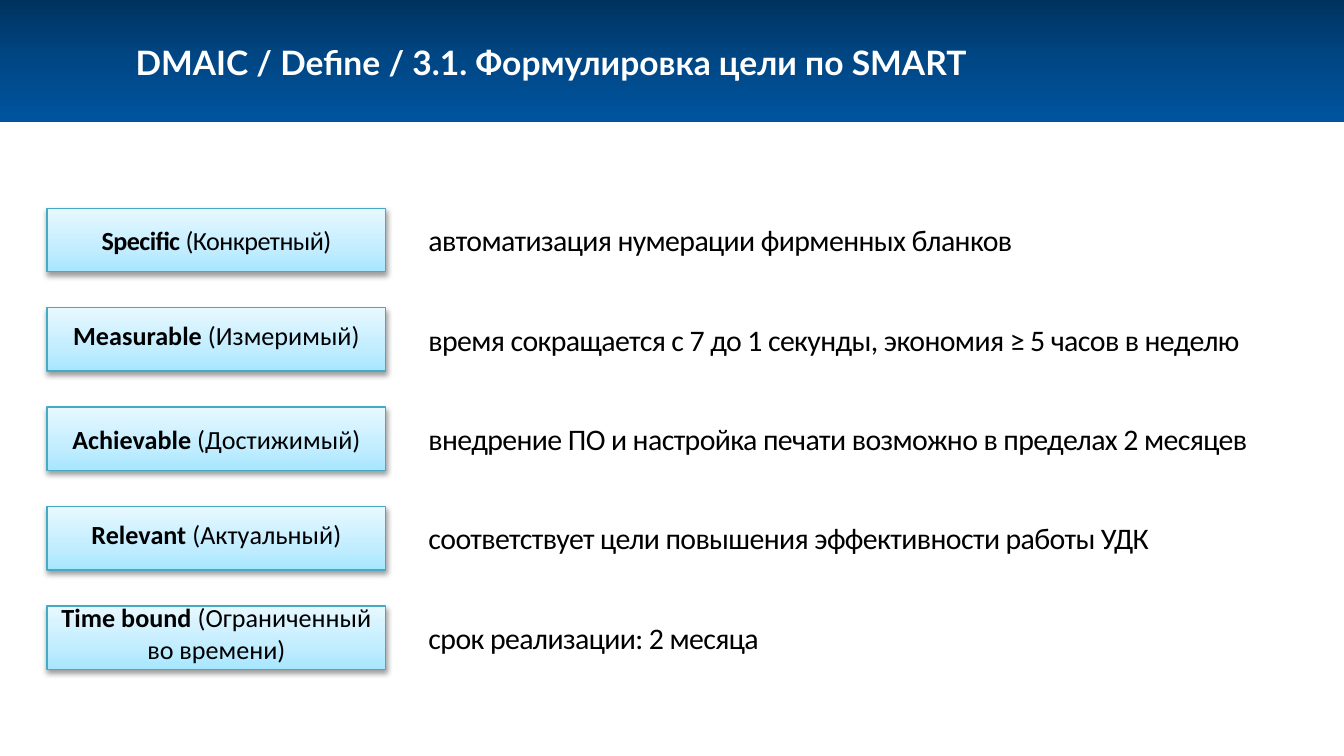
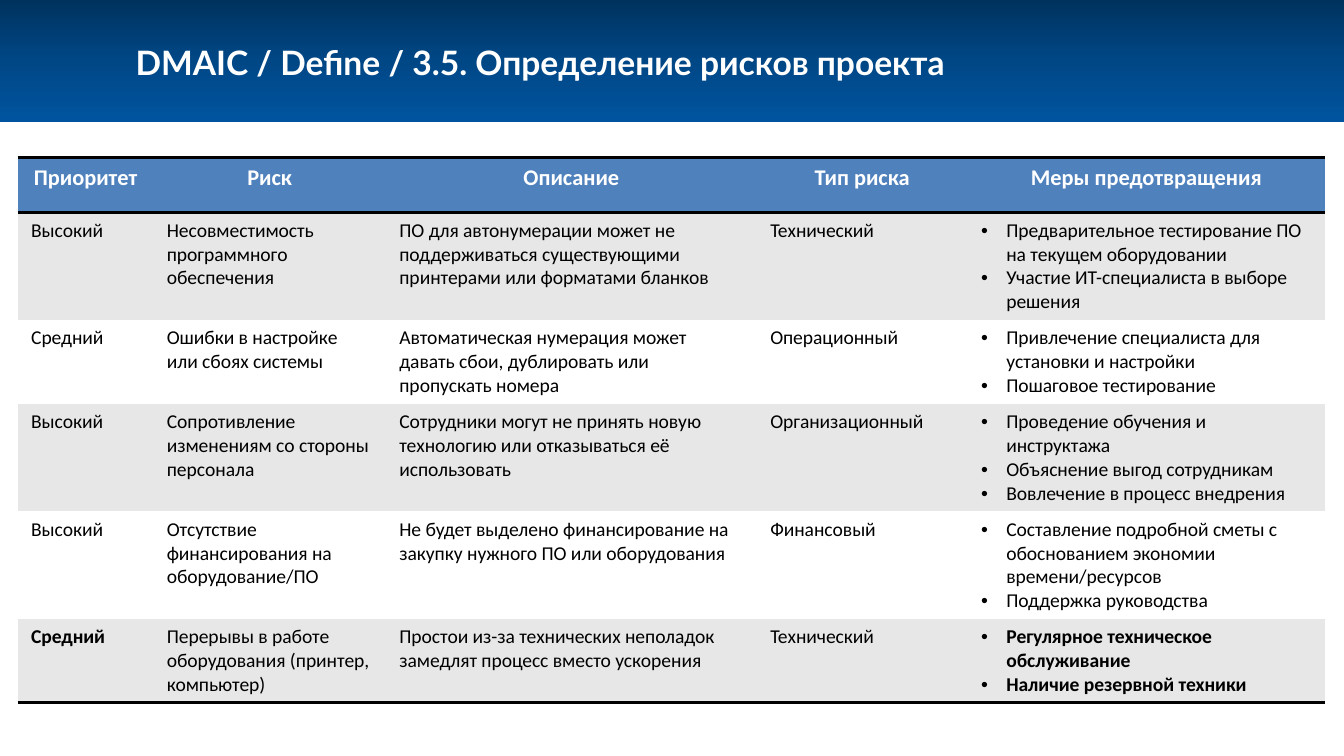
"""Builds two DMAIC Define slides: a SMART goal and a table of project risks."""
import pptx
import pptx.dml.color
import pptx.enum.shapes
import pptx.enum.text
import pptx.oxml.ns
import pptx.util
from lxml import etree

Pt = pptx.util.Pt
RGBColor = pptx.dml.color.RGBColor
Align = pptx.enum.text.PP_ALIGN
Anchor = pptx.enum.text.MSO_ANCHOR
qn = pptx.oxml.ns.qn

WHITE = RGBColor(0xFF, 0xFF, 0xFF)
BLACK = RGBColor(0x00, 0x00, 0x00)
BAND_STOPS = [(0, RGBColor(0x00, 0x32, 0x5E)), (50, RGBColor(0x00, 0x47, 0x86)),
              (100, RGBColor(0x00, 0x54, 0x9F))]
LABEL_STOPS = [(0, RGBColor(0xA7, 0xE6, 0xFF)), (35, RGBColor(0xC1, 0xED, 0xFF)),
               (100, RGBColor(0xE7, 0xF8, 0xFF))]
LABEL_LINE = RGBColor(0x46, 0xAA, 0xC5)
HEADER_FILL = RGBColor(0x4F, 0x81, 0xBD)
STRIPE_FILL = RGBColor(0xE7, 0xE7, 0xE7)

TITLE_FONT = "Lato"
BODY_FONT = "Calibri"
SLIDE_WIDTH, SLIDE_HEIGHT = 720, 405
BAND_HEIGHT = 65.5
TIGHT = -0.3

GOALS_BOX = (25.2, 111.6, 670, 247)
RISKS_BOX = (9.5, 84.2, 700.5, 292)

GOALS = [
    ("Specific ", "(Конкретный)", TIGHT, 0,
     "автоматизация нумерации фирменных бланков"),
    ("Measurable", " (Измеримый)", 0, 4.8,
     "время сокращается с 7 до 1 секунды, экономия ≥ 5 часов в неделю"),
    ("Achievable", " (Достижимый)", 0, 0,
     "внедрение ПО и настройка печати возможно в пределах 2 месяцев"),
    ("Relevant", " (Актуальный)", 0, 4.8,
     "соответствует цели повышения эффективности работы УДК"),
    ("Time bound ", "(Ограниченный во времени)", 0, 4.8,
     "срок реализации: 2 месяца"),
]

RISK_COLUMNS = [("Приоритет", 72.7), ("Риск", 124.6), ("Описание", 198.7),
                ("Тип риска", 113), ("Меры предотвращения", 191.5)]
RISK_HEIGHTS = [29.5, 57.5, 45, 57.5, 57.5, 45]
RISKS = [
    ("Высокий", "Несовместимость программного обеспечения",
     "ПО для автонумерации может не поддерживаться существующими принтерами "
     "или форматами бланков", "Технический",
     ["Предварительное тестирование ПО на текущем оборудовании",
      "Участие ИТ-специалиста в выборе решения"]),
    ("Средний", "Ошибки в настройке или сбоях системы",
     "Автоматическая нумерация может давать сбои, дублировать или пропускать номера",
     "Операционный",
     ["Привлечение специалиста для установки и настройки", "Пошаговое тестирование"]),
    ("Высокий", "Сопротивление изменениям со стороны персонала",
     "Сотрудники могут не принять новую технологию или отказываться её использовать",
     "Организационный",
     ["Проведение обучения и инструктажа", "Объяснение выгод сотрудникам",
      "Вовлечение в процесс внедрения"]),
    ("Высокий", "Отсутствие финансирования на оборудование/ПО",
     "Не будет выделено финансирование на закупку нужного ПО или оборудования",
     "Финансовый",
     ["Составление подробной сметы с обоснованием экономии времени/ресурсов",
      "Поддержка руководства"]),
    ("Средний", "Перерывы в работе оборудования (принтер, компьютер)",
     "Простои из-за технических неполадок замедлят процесс вместо ускорения",
     "Технический",
     ["Регулярное техническое обслуживание", "Наличие резервной техники"]),
]


def add_span(para, text, size=10.5, color=BLACK, bold=False, font=BODY_FONT, spacing=0):
    """Append a formatted run to a paragraph."""
    span = para.add_run()
    span.text = text
    span.font.size = Pt(size)
    span.font.name = font
    span.font.bold = bold
    span.font.color.rgb = color
    if spacing:
        span.font._element.set("spc", str(round(spacing * 100)))


def add_node(parent, tag, **attributes):
    """Append a drawing element with the given attributes."""
    node = etree.SubElement(parent, qn(tag))
    for name, value in attributes.items():
        node.set(name, str(value))
    return node


def fill_gradient(shape, stops, angle):
    """Fill a shape with a linear gradient, angle in clockwise degrees."""
    shape.fill.gradient()
    gradient = shape._element.spPr.find(qn("a:gradFill"))
    for child in list(gradient):
        gradient.remove(child)
    stop_list = add_node(gradient, "a:gsLst")
    for position, color in stops:
        stop = add_node(stop_list, "a:gs", pos=position * 1000)
        add_node(stop, "a:srgbClr", val=color)
    add_node(gradient, "a:lin", ang=angle * 60000, scaled=0)


def drop_shadow(shape):
    """Give a shape a soft shadow below it."""
    effects = shape._element.spPr.find(qn("a:effectLst"))
    shadow = add_node(effects, "a:outerShdw", blurRad=Pt(3.1), dist=Pt(1.6),
                      dir=90 * 60000, rotWithShape=0)
    add_node(add_node(shadow, "a:srgbClr", val=BLACK), "a:alpha", val=38000)


def add_rectangle(slide, box, stops, angle):
    """Add a gradient rectangle without a line."""
    shape = slide.shapes.add_shape(pptx.enum.shapes.MSO_SHAPE.RECTANGLE, *map(Pt, box))
    shape.shadow.inherit = False
    shape.line.fill.background()
    fill_gradient(shape, stops, angle)
    return shape


def add_text(slide, box, text, **text_format):
    """Add a wrapped one-paragraph text box."""
    frame = slide.shapes.add_textbox(*map(Pt, box)).text_frame
    frame.word_wrap = True
    frame.auto_size = pptx.enum.text.MSO_AUTO_SIZE.SHAPE_TO_FIT_TEXT
    add_span(frame.paragraphs[0], text, **text_format)


def add_titled_slide(deck, title):
    """Add a blank slide with the title band."""
    slide = deck.slides.add_slide(deck.slide_layouts[6])
    add_rectangle(slide, (0, 0, SLIDE_WIDTH, BAND_HEIGHT), BAND_STOPS, 90)
    add_text(slide, (65.5, 18.7, 578, 29), title, size=18, color=WHITE, bold=True,
             font=TITLE_FONT)
    return slide


def add_goal_label(slide, box, term, meaning, spacing, lift):
    """Add the box naming one SMART criterion."""
    label = add_rectangle(slide, box, LABEL_STOPS, 270)
    label.line.color.rgb = LABEL_LINE
    label.line.width = Pt(0.75)
    drop_shadow(label)
    frame = label.text_frame
    frame.word_wrap = True
    frame.vertical_anchor = Anchor.MIDDLE
    frame.margin_top, frame.margin_bottom = Pt(0), Pt(lift)
    para = frame.paragraphs[0]
    para.alignment = Align.CENTER
    add_span(para, term, size=14, bold=True, spacing=spacing)
    add_span(para, meaning, size=14, spacing=spacing)


def add_goals(slide, box):
    """Stack the SMART criteria with their statements in a box."""
    left, top, width, height = box
    label_width, label_height, text_left, text_height = 181.5, 34, 197.3, 26.6
    pitch = (height - label_height) / (len(GOALS) - 1)
    for index, (term, meaning, spacing, lift, statement) in enumerate(GOALS):
        row_top = top + index * pitch
        add_goal_label(slide, (left, row_top, label_width, label_height),
                       term, meaning, spacing, lift)
        text_top = row_top + (label_height - text_height) / 2
        add_text(slide, (left + text_left, text_top, width - text_left, text_height),
                 statement, size=16, spacing=TIGHT)


def rule_cell(cell, ruled):
    """Draw black borders on the ruled sides of a cell and clear the others."""
    properties = cell._tc.get_or_add_tcPr()
    for side in ("a:lnL", "a:lnR", "a:lnT", "a:lnB"):
        if side in ruled:
            line = add_node(properties, side, w=Pt(2))
            add_node(add_node(line, "a:solidFill"), "a:srgbClr", val=BLACK)
        else:
            add_node(add_node(properties, side), "a:noFill")


def fill_cell(cell, fill, lines, ruled=(), bullet=False, align=Align.LEFT, **text_format):
    """Rule and fill a cell and write one paragraph per line."""
    rule_cell(cell, ruled)
    cell.fill.solid()
    cell.fill.fore_color.rgb = fill
    frame = cell.text_frame
    for index, line in enumerate(lines):
        para = frame.add_paragraph() if index else frame.paragraphs[0]
        para.alignment = align
        if bullet:
            properties = para._p.get_or_add_pPr()
            properties.set("marL", str(Pt(13.5)))
            properties.set("indent", str(Pt(-13.5)))
            add_node(properties, "a:buFont", typeface="Arial")
            add_node(properties, "a:buChar", char="•")
        add_span(para, line, **text_format)


def add_risks(slide, box):
    """Place the risk table in a box."""
    table = slide.shapes.add_table(len(RISK_HEIGHTS), len(RISK_COLUMNS),
                                   *map(Pt, box)).table
    table.first_row = False
    table.horz_banding = False
    for row, height in zip(table.rows, RISK_HEIGHTS):
        row.height = Pt(height)
    for column, (heading, width) in enumerate(RISK_COLUMNS):
        table.columns[column].width = Pt(width)
        fill_cell(table.cell(0, column), HEADER_FILL, [heading],
                  ruled=("a:lnT", "a:lnB"), align=Align.CENTER, size=12,
                  color=WHITE, bold=True)
    last_column = len(RISK_COLUMNS) - 1
    for row, risk in enumerate(RISKS, 1):
        is_last = row == len(RISKS)
        ruled = [side for side, shown in (("a:lnT", row == 1), ("a:lnB", is_last)) if shown]
        for column, content in enumerate(risk):
            is_measure = column == last_column
            fill_cell(table.cell(row, column), STRIPE_FILL if row % 2 else WHITE,
                      content if is_measure else [content], ruled=ruled,
                      bullet=is_measure, bold=is_last and column in (0, last_column))


def main():
    """Build and save the deck."""
    deck = pptx.Presentation()
    deck.slide_width, deck.slide_height = Pt(SLIDE_WIDTH), Pt(SLIDE_HEIGHT)
    add_goals(add_titled_slide(deck, "DMAIC / Define / 3.1. Формулировка цели по SMART"),
              GOALS_BOX)
    add_risks(add_titled_slide(deck, "DMAIC / Define / 3.5. Определение рисков проекта"),
              RISKS_BOX)
    deck.save("out.pptx")


if __name__ == "__main__":
    main()
